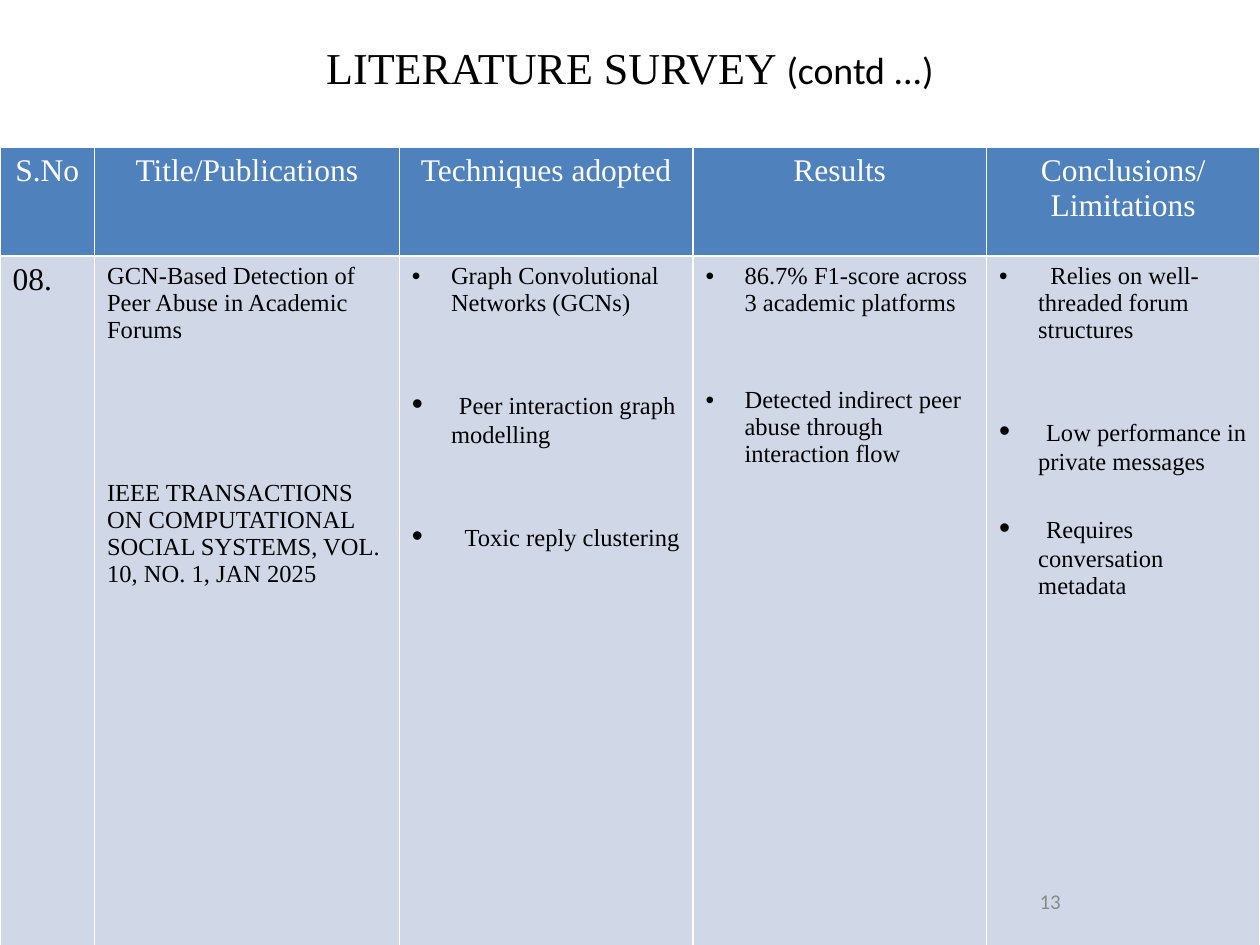
import pptx
import pptx.dml.color
import pptx.enum.text
import pptx.oxml.ns
import pptx.util
from lxml import etree

COLORS = {"header": "4F81BD", "body": "D0D8E8", "white": "FFFFFF",
          "black": "000000", "grey": "898989"}
SERIF, SANS = "Times New Roman", "Calibri"
CENTER = pptx.enum.text.PP_ALIGN.CENTER
MIDDLE = pptx.enum.text.MSO_ANCHOR.MIDDLE


def color(name):
    return pptx.dml.color.RGBColor.from_string(COLORS[name])


def add_element(parent, tag, **attributes):
    return etree.SubElement(parent, pptx.oxml.ns.qn(tag), attributes)


class SurveySlide:
    """Holds the presentation, its current slide and the shared style."""

    def __init__(self, width, height):
        self.presentation = pptx.Presentation()
        self.presentation.slide_width = self.width = pptx.util.Inches(width)
        self.presentation.slide_height = self.height = pptx.util.Inches(height)
        layout = self.presentation.slide_layouts.get_by_name("Title Only")
        self.slide = self.presentation.slides.add_slide(layout)

    def area(self, left, top, width, height):
        """Turn shares of the slide into lengths."""
        return (round(left * self.width), round(top * self.height),
                round(width * self.width), round(height * self.height))

    def add_runs(self, paragraph, runs, font_color, **formats):
        """Add (text, size, font) runs and set the paragraph formats."""
        for name, value in formats.items():
            setattr(paragraph, name, value)
        for text, size, font_name in runs:
            run = paragraph.add_run()
            run.text = text
            font = {"size": pptx.util.Pt(size), "name": font_name, "bold": False}
            for name, value in font.items():
                setattr(run.font, name, value)
            run.font.color.rgb = color(font_color)

    def title(self, area, runs, bottom_margin):
        shape = self.slide.shapes.title
        shape.left, shape.top, shape.width, shape.height = self.area(*area)
        frame = shape.text_frame
        formats = {"auto_size": pptx.enum.text.MSO_AUTO_SIZE.NONE,
                   "vertical_anchor": MIDDLE,
                   "margin_bottom": round(bottom_margin * self.height)}
        for name, value in formats.items():
            setattr(frame, name, value)
        self.add_runs(frame.paragraphs[0], runs, "black", alignment=CENTER)

    def label(self, area, text, size, font_color):
        frame = self.slide.shapes.add_textbox(*self.area(*area)).text_frame
        frame.word_wrap = True
        frame.vertical_anchor = MIDDLE
        self.add_runs(frame.paragraphs[0], [(text, size, SANS)], font_color,
                      alignment=CENTER)

    def table(self, area, column_shares, row_shares):
        frame = self.slide.shapes.add_table(
            len(row_shares), len(column_shares), *self.area(*area))
        for column, share in zip(frame.table.columns, column_shares):
            column.width = round(share * self.width)
        for row, share in zip(frame.table.rows, row_shares):
            row.height = round(share * self.height)
        return frame.table

    def cell(self, cell, paragraphs, fill, font_color, bulleted=False, **formats):
        """Fill a cell with (space before, runs) paragraphs."""
        for side in ("a:lnL", "a:lnR", "a:lnT", "a:lnB"):
            line = add_element(cell._tc.get_or_add_tcPr(), side, w=str(pptx.util.Pt(1)))
            add_element(add_element(line, "a:solidFill"), "a:srgbClr", val=COLORS["white"])
        cell.fill.solid()
        cell.fill.fore_color.rgb = color(fill)
        frame = cell.text_frame
        for index, (space, runs) in enumerate(paragraphs):
            paragraph = frame.add_paragraph() if index else frame.paragraphs[0]
            if bulleted:
                self.bullet(paragraph)
            if space:
                paragraph.space_before = pptx.util.Pt(space)
            self.add_runs(paragraph, runs, font_color, **formats)

    def bullet(self, paragraph):
        properties = paragraph._p.get_or_add_pPr()
        indent = pptx.util.Inches(0.31)
        properties.set("marL", str(indent))
        properties.set("indent", str(-indent))
        add_element(add_element(properties, "a:buClr"), "a:srgbClr", val=COLORS["black"])
        add_element(properties, "a:buFont", typeface="Arial")
        add_element(properties, "a:buChar", char="•")


def small(text):
    return [(text, 14, SERIF)]


def spaced(text):
    """A large leading space gives the point its larger bullet."""
    return [(" ", 18, SERIF), (text, 14, SERIF)]


HEADERS = ["S.No", "Title/Publications", "Techniques adopted", "Results",
           "Conclusions/Limitations"]
# Body cells: whether bulleted, then (space before, runs) per paragraph
BODY = [
    (False, [(0, [("08.", 18, SERIF)])]),
    (False, [(0, small("GCN-Based Detection of Peer Abuse in Academic Forums")),
             (77.5, small("IEEE TRANSACTIONS ON COMPUTATIONAL SOCIAL SYSTEMS, "
                          "VOL. 10, NO. 1, JAN 2025"))]),
    (True, [(0, small("Graph Convolutional Networks (GCNs)")),
            (40, spaced("Peer interaction graph modelling")),
            (40, spaced(" Toxic reply clustering"))]),
    (True, [(0, small("86.7% F1-score across 3 academic platforms")),
            (40, small("Detected indirect peer abuse through interaction flow"))]),
    (True, [(0, small("  Relies on well-threaded forum structures")),
            (40, spaced("Low performance in private messages")),
            (20, spaced("Requires conversation metadata"))]),
]


def main():
    survey = SurveySlide(10, 7.5)

    # Title
    survey.title((0.025, 0.033, 0.95, 0.123),
                 [("LITERATURE SURVEY ", 25.2, SERIF), ("(contd ...)", 21.6, SANS)],
                 bottom_margin=0.055)

    # Survey table
    table = survey.table((0, 0.156, 1, 0.848),
                         [0.075, 0.242, 0.233, 0.233, 0.217], [0.115, 0.733])
    for column, (header, (bulleted, paragraphs)) in enumerate(zip(HEADERS, BODY)):
        survey.cell(table.cell(0, column), [(0, [(header, 18, SERIF)])],
                    "header", "white", alignment=CENTER)
        survey.cell(table.cell(1, column), paragraphs, "body", "black", bulleted)

    # Page number
    survey.label((0.717, 0.927, 0.233, 0.053), "13", 12, "grey")

    survey.presentation.save("out.pptx")


if __name__ == "__main__":
    main()
